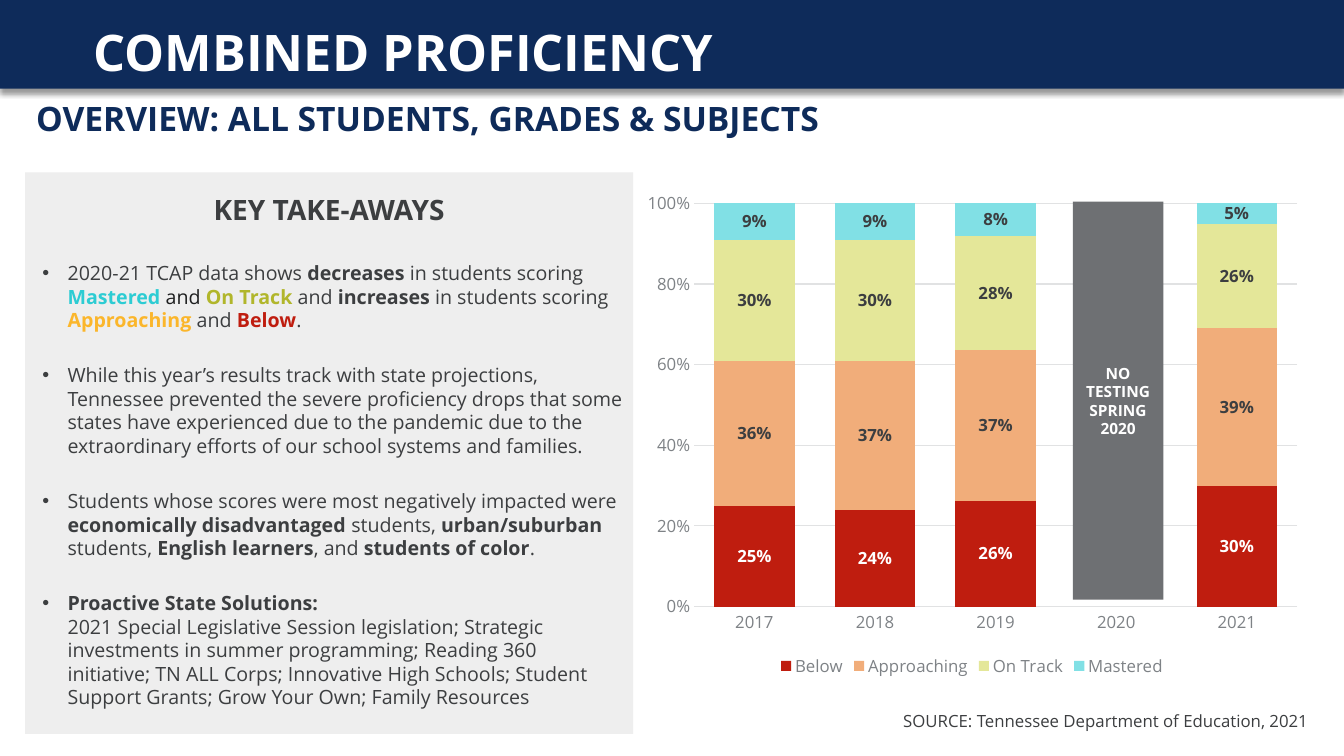
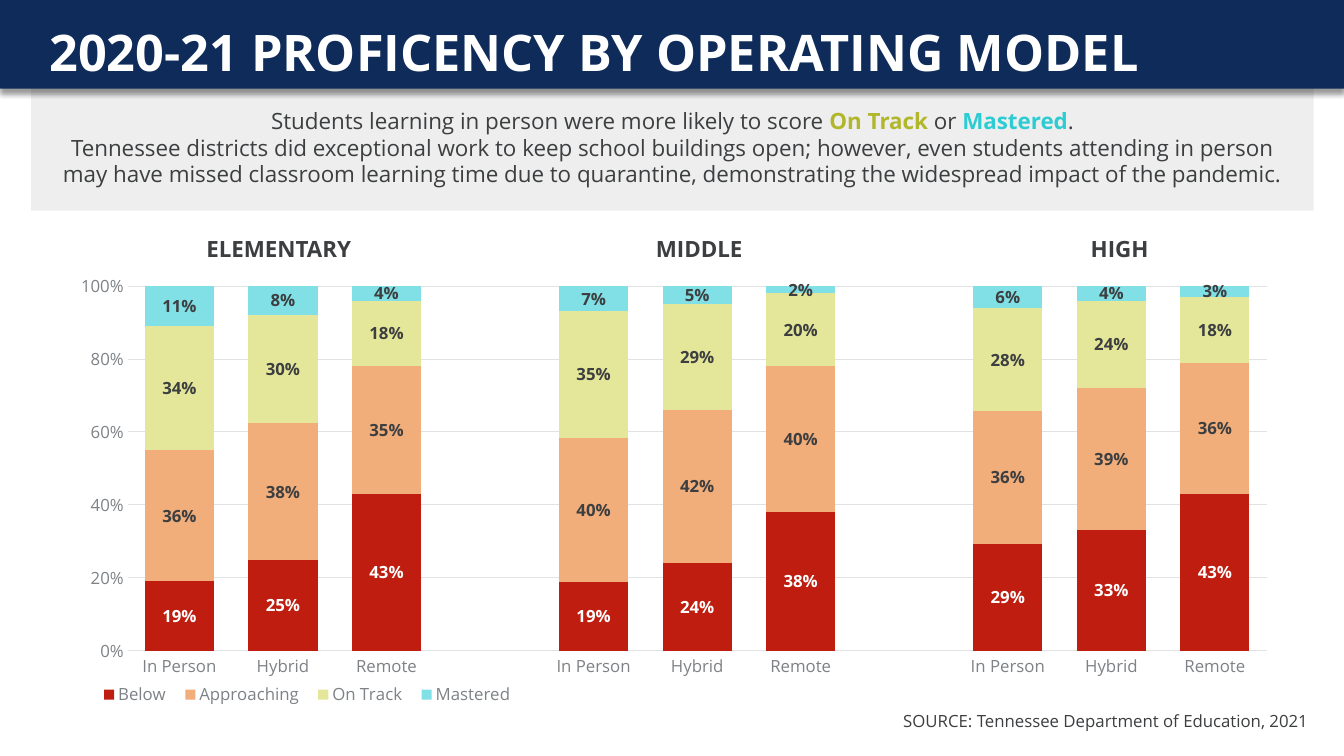
from dataclasses import dataclass
from typing import NamedTuple, Optional

from lxml import etree
from pptx import Presentation
from pptx.chart.data import CategoryChartData
from pptx.dml.color import RGBColor
from pptx.enum.chart import (
    XL_CHART_TYPE, XL_LABEL_POSITION, XL_LEGEND_POSITION, XL_TICK_MARK)
from pptx.enum.shapes import MSO_SHAPE
from pptx.enum.text import MSO_ANCHOR, MSO_AUTO_SIZE, PP_ALIGN
from pptx.oxml.ns import qn
from pptx.util import Emu, Pt

PX = 9144  # EMU in one px, at 100 px to the inch
FONT = "Open Sans"

NAVY = RGBColor(0x0E, 0x2B, 0x5A)
INK = RGBColor(0x3C, 0x3E, 0x40)
BLACK = RGBColor(0x1E, 0x1F, 0x20)
WHITE = RGBColor(0xFF, 0xFF, 0xFF)
PALE = RGBColor(0xEE, 0xEE, 0xEE)
SLATE = RGBColor(0x6E, 0x70, 0x73)
GREY = RGBColor(0x7E, 0x82, 0x86)
RULE = RGBColor(0xE1, 0xE2, 0xE3)
RED = RGBColor(0xBF, 0x1D, 0x0F)
GOLD = RGBColor(0xFB, 0xB6, 0x2B)
OLIVE = RGBColor(0xB1, 0xB6, 0x2B)
TEAL = RGBColor(0x2D, 0xCC, 0xD3)
PEACH = RGBColor(0xF1, 0xAD, 0x7A)
LIME = RGBColor(0xE4, 0xE7, 0x99)
AQUA = RGBColor(0x81, 0xE0, 0xE5)

LEFT, MID = PP_ALIGN.LEFT, PP_ALIGN.CENTER
TOP, CENTER = MSO_ANCHOR.TOP, MSO_ANCHOR.MIDDLE
FIXED = MSO_AUTO_SIZE.NONE
RECT = MSO_SHAPE.RECTANGLE
STACK = XL_CHART_TYPE.COLUMN_STACKED_100
INNER = XL_LABEL_POSITION.CENTER
BOTTOM = XL_LEGEND_POSITION.BOTTOM
NO_TICK = XL_TICK_MARK.NONE


class Box(NamedTuple):
    x: int
    y: int
    w: int
    h: int

    def emu(self) -> list[Emu]:
        return [Emu(v * PX) for v in self]


class Span(NamedTuple):
    text: str
    hue: RGBColor = INK
    bold: bool = False


class Level(NamedTuple):
    name: str
    fill: RGBColor
    ink: RGBColor


class Frame(NamedTuple):
    """Place within a chart, in shares of its size."""
    x: float
    y: float
    w: float
    h: float


@dataclass
class Plot:
    box: Box
    cats: list[str]
    rows: list[list[Optional[float]]]
    inner: Frame
    legend: Optional[Frame] = None


LEVELS = [
    Level("Below", RED, WHITE),
    Level("Approaching", PEACH, INK),
    Level("On Track", LIME, INK),
    Level("Mastered", AQUA, INK),
]

POINTS = [
    [Span("2020-21 TCAP data shows "), Span("decreases", INK, True),
     Span(" in students scoring "), Span("Mastered ", TEAL, True),
     Span("and ", BLACK), Span("On Track ", OLIVE, True), Span("and "),
     Span("increases", INK, True), Span(" in students scoring "),
     Span("Approaching", GOLD, True), Span(" and "),
     Span("Below", RED, True), Span(".")],
    [Span("While this year’s results track with state projections, "
          "Tennessee prevented the severe proficiency drops that some "
          "states have experienced due to the pandemic due to the "
          "extraordinary efforts of our school systems and families.")],
    [Span("Students whose scores were most negatively impacted were "),
     Span("economically disadvantaged", INK, True), Span(" students, "),
     Span("urban/suburban", INK, True), Span(" students, "),
     Span("English learners", INK, True), Span(", and "),
     Span("students of color", INK, True), Span(".")],
    [Span("Proactive State Solutions:", INK, True)],
]
DETAIL = [Span(
    "2021 Special Legislative Session legislation; Strategic investments in "
    "summer programming; Reading 360 initiative; TN ALL Corps; Innovative "
    "High Schools; Student Support Grants; Grow Your Own; Family Resources")]

LEAD = [
    [Span("Students learning in person were more likely to score "),
     Span("On Track", OLIVE, True), Span(" or "),
     Span("Mastered", TEAL, True), Span(".")],
    [Span("Tennessee districts did exceptional work to keep school buildings "
          "open; however, even students attending in person")],
    [Span("may have missed classroom learning time due to quarantine, "
          "demonstrating the widespread impact of the pandemic.")],
]

YEARS = Plot(
    Box(628, 182, 672, 494),
    ["2017", "2018", "2019", "2020", "2021"],
    [[0.25, 0.24, 0.26, None, 0.3],
     [0.36, 0.37, 0.37, None, 0.39],
     [0.3, 0.3, 0.28, None, 0.26],
     [0.09, 0.09, 0.08, None, 0.05]],
    Frame(0.09, 0.04, 0.89, 0.81))

MODES = ["In Person", "Hybrid", "Remote"]
SCHOOLS = ["ELEMENTARY", "MIDDLE", "HIGH"]
MODELS = Plot(
    Box(53, 261, 1228, 458),
    [*MODES, "", *MODES, "", *MODES],
    [[0.19, 0.25, 0.43, None, 0.19, 0.24, 0.38, None, 0.29, 0.33, 0.43],
     [0.36, 0.38, 0.35, None, 0.4, 0.42, 0.4, None, 0.36, 0.39, 0.36],
     [0.34, 0.3, 0.18, None, 0.35, 0.29, 0.2, None, 0.28, 0.24, 0.18],
     [0.11, 0.08, 0.04, None, 0.07, 0.05, 0.02, None, 0.06, 0.04, 0.03]],
    Frame(0.06, 0.05, 0.92, 0.79),
    Frame(0.03, 0.9, 0.35, 0.07))


def style(font, size: int, hue: RGBColor, bold: bool = False) -> None:
    font.name, font.size, font.bold = FONT, Pt(size), bold
    font.color.rgb = hue


def write(par, spans: list[Span], size: int, align=LEFT, gap: float = 0) -> None:
    par.alignment, par.space_before = align, Pt(gap)
    for span in spans:
        run = par.add_run()
        run.text = span.text
        style(run.font, size, span.hue, span.bold)


def fill(frame, lines: list[list[Span]], size: int, align=LEFT) -> None:
    for i, line in enumerate(lines):
        par = frame.add_paragraph() if i else frame.paragraphs[0]
        write(par, line, size, align)


def indent(par, left: int, hang: int, mark: str = "") -> None:
    """Set the indents in px, and the bullet if there is one."""
    props = par._p.get_or_add_pPr()
    props.set("marL", str(left * PX))
    props.set("indent", str(-hang * PX))
    if mark:
        tint = etree.SubElement(props, qn("a:buClr"))
        etree.SubElement(tint, qn("a:srgbClr"), val=str(INK))
        etree.SubElement(props, qn("a:buChar"), char=mark)
    else:
        etree.SubElement(props, qn("a:buNone"))


def pad(frame) -> None:
    """Give a pale panel its margins."""
    frame.word_wrap, frame.auto_size = True, FIXED
    frame.vertical_anchor = TOP
    frame.margin_left = frame.margin_right = Emu(10 * PX)
    frame.margin_top, frame.margin_bottom = Emu(20 * PX), Emu(5 * PX)


def block(slide, box: Box, hue: RGBColor):
    shape = slide.shapes.add_shape(RECT, *box.emu())
    shape.shadow.inherit = False
    shape.fill.solid()
    shape.fill.fore_color.rgb = hue
    shape.line.fill.background()
    return shape


def label(slide, box: Box, span: Span, size: int, align=LEFT, wrap=True) -> None:
    frame = slide.shapes.add_textbox(*box.emu()).text_frame
    frame.word_wrap = wrap
    write(frame.paragraphs[0], [span], size, align)


def head(slide, text: str, box: Box) -> None:
    """Draw the band with its shadow, the title on it, and the source line."""
    band = block(slide, Box(0, -1, 1333, 89), NAVY)
    glow = etree.SubElement(
        band._element.spPr.find(qn("a:effectLst")), qn("a:outerShdw"),
        blurRad=str(Pt(4)), dist=str(Pt(3)), dir="5400000",
        algn="t", rotWithShape="0")
    tone = etree.SubElement(glow, qn("a:srgbClr"), val="000000")
    etree.SubElement(tone, qn("a:alpha"), val="40000")

    title = slide.shapes.title
    title.left, title.top, title.width, title.height = box.emu()
    frame = title.text_frame
    frame.auto_size, frame.vertical_anchor = FIXED, CENTER
    write(frame.paragraphs[0], [Span(text, WHITE, True)], 36)
    band._element.addnext(title._element)

    label(slide, Box(886, 700, 427, 30),
          Span("SOURCE: Tennessee Department of Education, 2021"), 12, wrap=False)


def layout(frame: Frame, inner: bool = False):
    """Build the XML that fixes a plot or legend in its chart."""
    node = etree.Element(qn("c:layout"))
    man = etree.SubElement(node, qn("c:manualLayout"))
    if inner:
        etree.SubElement(man, qn("c:layoutTarget"), val="inner")
    for key in ("xMode", "yMode"):
        etree.SubElement(man, qn("c:" + key), val="edge")
    for key, value in frame._asdict().items():
        etree.SubElement(man, qn("c:" + key), val=str(value))
    return node


def draw(slide, plot: Plot) -> None:
    data = CategoryChartData(number_format="0%")
    data.categories = plot.cats
    for level, row in zip(LEVELS, plot.rows):
        data.add_series(level.name, row)
    chart = slide.shapes.add_chart(STACK, *plot.box.emu(), data).chart
    style(chart.font, 10, INK)
    chart.has_title = False

    chart.has_legend = True
    key = chart.legend
    key.position, key.include_in_layout = BOTTOM, False
    style(key.font, 12, GREY)
    if plot.legend:
        key._element.find(qn("c:legendPos")).addnext(layout(plot.legend))

    cat, val = chart.category_axis, chart.value_axis
    for axis in (cat, val):
        axis.major_tick_mark = axis.minor_tick_mark = NO_TICK
        style(axis.tick_labels.font, 12, GREY)
    val.minimum_scale, val.maximum_scale, val.major_unit = 0, 1, 0.2
    val.tick_labels.number_format = "0%"
    val.tick_labels.number_format_is_linked = False
    val.format.line.fill.background()
    val.has_major_gridlines = True
    for line in (cat.format.line, val.major_gridlines.format.line):
        line.color.rgb, line.width = RULE, Pt(0.75)

    bars = chart.plots[0]
    bars.gap_width, bars.overlap, bars.vary_by_categories = 50, 100, False
    for level, series in zip(LEVELS, bars.series):
        series.format.fill.solid()
        series.format.fill.fore_color.rgb = level.fill
        tags = series.data_labels
        tags.show_value, tags.position = True, INNER
        tags.number_format, tags.number_format_is_linked = "0%", False
        style(tags.font, 12, level.ink, True)

    area = chart._chartSpace.chart.plotArea
    for old in area.findall(qn("c:layout")):
        area.remove(old)
    area.insert(0, layout(plot.inner, True))


def combined(deck) -> None:
    slide = deck.slides.add_slide(deck.slide_layouts[1])
    head(slide, "COMBINED PROFICIENCY", Box(83, 15, 754, 71))
    label(slide, Box(26, 92, 992, 50),
          Span("OVERVIEW: ALL STUDENTS, GRADES & SUBJECTS", NAVY, True), 24)

    body = slide.placeholders[1]
    body.left, body.top, body.width, body.height = Box(25, 171, 603, 557).emu()
    body.fill.solid()
    body.fill.fore_color.rgb = PALE
    frame = body.text_frame
    pad(frame)
    first = frame.paragraphs[0]
    indent(first, 0, 0)
    write(first, [Span("KEY TAKE-AWAYS", INK, True)], 20, MID)
    for i, point in enumerate(POINTS):
        par = frame.add_paragraph()
        indent(par, 32, 25, "•")
        write(par, point, 14, gap=22.5 if i else 25)
    par = frame.add_paragraph()
    indent(par, 32, 0)
    write(par, DETAIL, 14)

    draw(slide, YEARS)
    cover = block(slide, Box(1064, 200, 90, 395), SLATE).text_frame
    cover.word_wrap, cover.vertical_anchor = True, CENTER
    words = ["NO", "TESTING", "SPRING", "2020"]
    fill(cover, [[Span(word, WHITE, True)] for word in words], 11, MID)


def models(deck) -> None:
    slide = deck.slides.add_slide(deck.slide_layouts[5])
    lead = block(slide, Box(31, 86, 1272, 123), PALE).text_frame
    pad(lead)
    fill(lead, LEAD, 16, MID)
    head(slide, "2020-21 PROFICENCY BY OPERATING MODEL", Box(39, 15, 1185, 71))
    for i, name in enumerate(SCHOOLS):
        label(slide, Box(140 + 417 * i, 228, 273, 40), Span(name, INK, True), 16, MID)
    draw(slide, MODELS)


def main() -> None:
    deck = Presentation()
    deck.slide_width, deck.slide_height = Emu(1333 * PX), Emu(750 * PX)
    combined(deck)
    models(deck)
    deck.save("out.pptx")


if __name__ == "__main__":
    main()
